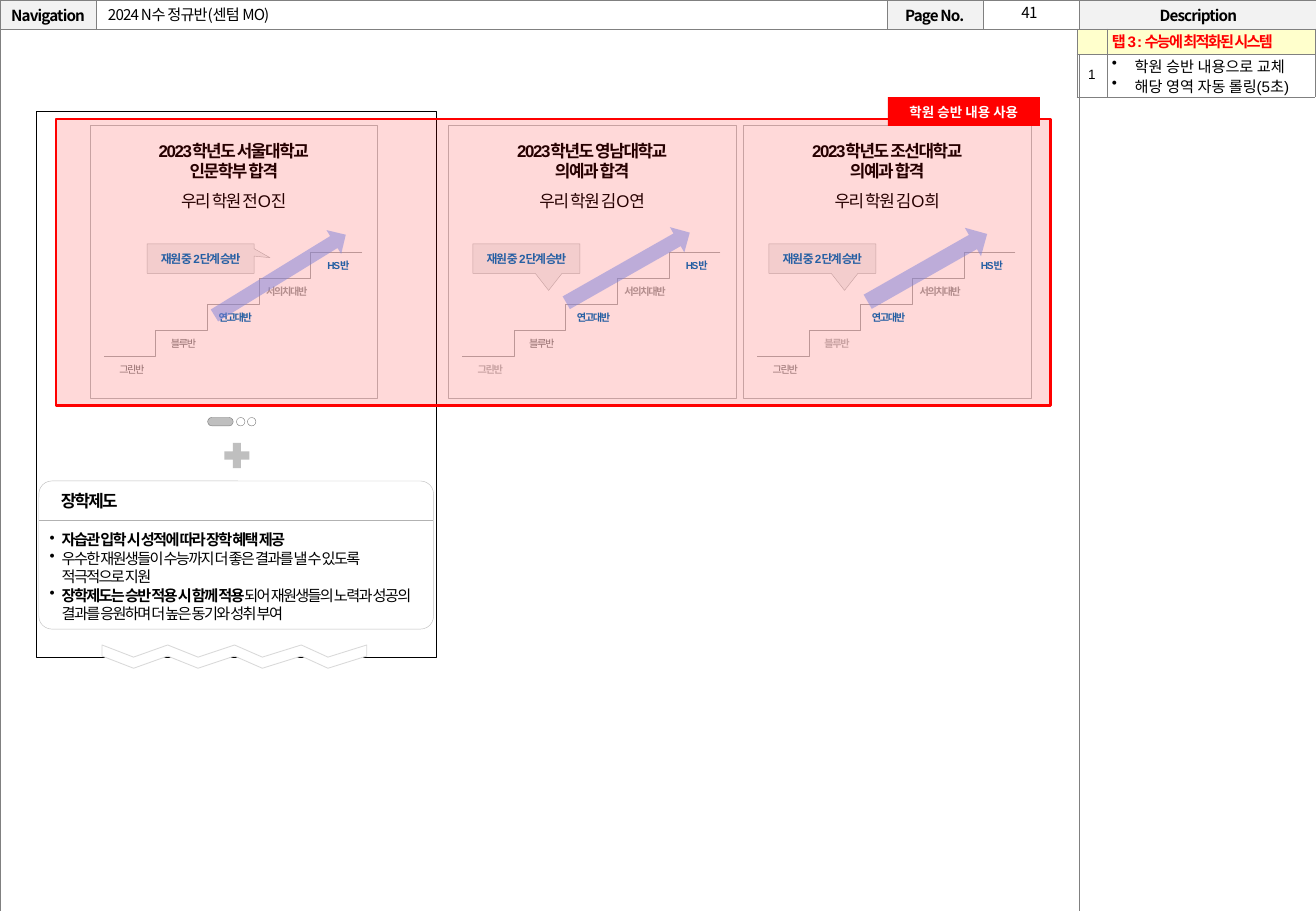
"""Build the storyboard slide for the academy promotion page."""
from dataclasses import dataclass

from lxml.etree import SubElement
from pptx import Presentation
from pptx.dml.color import RGBColor
from pptx.enum.shapes import MSO_CONNECTOR, MSO_SHAPE
from pptx.enum.text import MSO_ANCHOR, PP_ALIGN
from pptx.oxml.ns import qn
from pptx.util import Pt


@dataclass(frozen=True)
class TextStyle:
    """Type settings of a paragraph; spacing and leading are in points."""
    size: float
    color: str = "000000"
    bold: bool = False
    spacing: float = 0
    font: str = "Arial"
    leading: float = None


@dataclass(frozen=True)
class Theme:
    """Colours and type styles of the slide."""
    east_asian: str = "Noto Sans CJK KR"
    black: str = "000000"
    white: str = "FFFFFF"
    red: str = "FF0000"
    arrow: str = "6699FF"
    pale: str = "F2F2F2"
    cream: str = "FFFFCC"
    border: str = "808080"
    step: str = "B2B2B2"
    silver: str = "BFBFBF"
    mist: str = "D9D9D9"
    hairline: float = 0.25
    header: TextStyle = TextStyle(9, bold=True, spacing=-0.5, font="Noto Sans CJK KR")
    title: TextStyle = TextStyle(9, spacing=-0.5, font="Noto Sans CJK KR")
    tag: TextStyle = TextStyle(8, "FFFFFF", True, font="Noto Sans CJK KR")
    tab: TextStyle = TextStyle(9, "FF0000", True, -1)
    number: TextStyle = TextStyle(8)
    note: TextStyle = TextStyle(9)
    section: TextStyle = TextStyle(10, bold=True, spacing=-1, leading=12)
    benefit: TextStyle = TextStyle(9, spacing=-1, leading=10.9)
    headline: TextStyle = TextStyle(10, bold=True, spacing=-0.8, leading=11.9)
    student: TextStyle = TextStyle(10, spacing=-0.8, leading=11.9)
    callout: TextStyle = TextStyle(7, "0070C0", True, -0.8, leading=8.4)
    level: TextStyle = TextStyle(6, "808080", False, -0.8, leading=7.2)
    level_on: TextStyle = TextStyle(6, "0070C0", True, -0.8, leading=7.2)
    level_off: TextStyle = TextStyle(6, "A6A6A6", True, -0.8, leading=7.2)
    level_faded: TextStyle = TextStyle(6, "BFBFBF", True, -0.8, leading=7.2)


@dataclass(frozen=True)
class Card:
    """One success story: its place, wording, callout and arrow."""
    left: float
    university: str
    faculty: str
    student: str
    faded: str
    callout_offset: float
    callout_tip: tuple
    arrow: tuple
    rotation: float


THEME = Theme()
CARDS = [
    Card(53.3, "서울대학교", "인문학부", "전O진", "", 33.9, (0.649, -0.027),
         (157.7, 117.4, 16.6, 91.4), 58.4),
    Card(265.7, "영남대학교", "의예과", "김O연", "그린반", 14.6, (0.208, 1.079),
         (363.6, 116.6, 17.3, 84.2), 60.4),
    Card(440.6, "조선대학교", "의예과", "김O희", "블루반", 15.1, (0.208, 1.079),
         (540, 118.1, 19.4, 81.4), 60.4),
]
LEVELS = [("그린반", THEME.level), ("블루반", THEME.level), ("연고대반", THEME.level_on),
          ("서의치대반", THEME.level_off), ("HS반", THEME.level_on)]
BENEFITS = [
    [("자습관 입학 시 성적에 따라 장학 혜택 제공", True)],
    [("우수한 재원생들이 수능까지 더 좋은 결과를 낼 수 있도록 적극적으로 지원", False)],
    [("장학제도는 승반 적용 시 함께 적용", True),
     ("되어 재원생들의 노력과 성공의 결과를 응원하며 더 높은 동기와 성취 부여", False)],
]


def points(*values):
    """Turn numbers into point lengths."""
    return [Pt(value) for value in values]


def style_paragraph(paragraph, style, align=PP_ALIGN.LEFT, bullet_indent=None):
    """Apply a text style, alignment and optional bullet to a paragraph."""
    paragraph.alignment = align
    if style.leading:
        paragraph.line_spacing = Pt(style.leading)
    if bullet_indent:
        properties = paragraph._p.get_or_add_pPr()
        properties.set("marL", str(Pt(bullet_indent)))
        properties.set("indent", str(-Pt(bullet_indent)))
        SubElement(properties, qn("a:buChar")).set("char", "•")
    font = paragraph.font
    font.size, font.bold, font.name = Pt(style.size), style.bold, style.font
    font.color.rgb = RGBColor.from_string(style.color)
    font._element.set("spc", str(round(style.spacing * 100)))
    SubElement(font._element, qn("a:ea")).set("typeface", THEME.east_asian)


def write_lines(frame, lines, align=PP_ALIGN.LEFT, bullet_indent=None):
    """Write (text, style) lines as paragraphs and return the paragraphs."""
    for index, (text, style) in enumerate(lines):
        paragraph = frame.add_paragraph() if index else frame.paragraphs[0]
        if text:
            paragraph.add_run().text = text
        style_paragraph(paragraph, style, align, bullet_indent)
    return frame.paragraphs


def add_text(shapes, box, lines, align=PP_ALIGN.CENTER, anchor=MSO_ANCHOR.TOP, side=7.2, bullet_indent=None):
    """Add a wrapping text box and return its paragraphs."""
    frame = shapes.add_textbox(*points(*box)).text_frame
    frame.word_wrap = True
    frame.vertical_anchor = anchor
    frame.margin_left = frame.margin_right = Pt(side)
    return write_lines(frame, lines, align, bullet_indent)


def paint(shape, fill=None, line=None, width=THEME.hairline, alpha=None):
    """Set fill, transparency and outline of a shape without shadow."""
    shape.shadow.inherit = False
    if fill:
        shape.fill.solid()
        shape.fill.fore_color.rgb = RGBColor.from_string(fill)
        if alpha:
            color = shape._element.spPr.find(f"{qn('a:solidFill')}/{qn('a:srgbClr')}")
            SubElement(color, qn("a:alpha")).set("val", str(alpha * 1000))
    else:
        shape.fill.background()
    if line:
        shape.line.color.rgb = RGBColor.from_string(line)
        shape.line.width = Pt(width)
    else:
        shape.line.fill.background()


def add_figure(shapes, kind, box, adjustments=(), **look):
    """Add a painted preset shape."""
    shape = shapes.add_shape(kind, *points(*box))
    for index, value in enumerate(adjustments):
        shape.adjustments[index] = value
    paint(shape, **look)
    return shape


def add_line(shapes, kind, ends, color):
    """Add a hairline connector between two points."""
    connector = shapes.add_connector(kind, *points(*ends))
    connector.line.color.rgb = RGBColor.from_string(color)
    connector.line.width = Pt(THEME.hairline)
    SubElement(connector._element.spPr, qn("a:effectLst"))


def format_cell(cell, fill=None, text="", style=THEME.number, align=PP_ALIGN.CENTER, margin=(0, 0), bullet_indent=None, spacing=None):
    """Set borders, fill and text of a table cell."""
    properties = cell._tc.get_or_add_tcPr()
    for side in ("lnL", "lnR", "lnT", "lnB"):
        border = SubElement(properties, qn(f"a:{side}"), w=str(Pt(THEME.hairline)))
        SubElement(SubElement(border, qn("a:solidFill")), qn("a:srgbClr"), val=THEME.border)
    if fill:
        cell.fill.solid()
        cell.fill.fore_color.rgb = RGBColor.from_string(fill)
    else:
        cell.fill.background()
    cell.vertical_anchor = MSO_ANCHOR.MIDDLE
    cell.margin_left = cell.margin_right = Pt(margin[0])
    cell.margin_top = cell.margin_bottom = Pt(margin[1])
    lines = [(line, style) for line in text.split("\n")]
    for paragraph in write_lines(cell.text_frame, lines, align, bullet_indent):
        if spacing:
            paragraph.line_spacing = spacing
        if not text:
            SubElement(paragraph._p, qn("a:endParaRPr"), sz=str(style.size * 100))


def add_grid(shapes, left, top, columns, rows):
    """Add a plain table with the given column widths and row heights."""
    table = shapes.add_table(len(rows), len(columns), *points(left, top, sum(columns), sum(rows))).table
    table.first_row = table.horz_banding = False
    for column, width in zip(table.columns, columns):
        column.width = Pt(width)
    for row, height in zip(table.rows, rows):
        row.height = Pt(height)
    return table


def add_page_frame(shapes):
    """Add the storyboard frame with navigation, page number and title."""
    table = add_grid(shapes, 0, 0, [56.9, 468.7, 56.9, 56.9, 141.8], [17.3, 523.4])
    table.cell(1, 0).merge(table.cell(1, 3))
    for index, text in enumerate(["Navigation", "", "Page No.", "", "Description"]):
        format_cell(table.cell(0, index), THEME.pale if text else THEME.white, text, THEME.header)
        format_cell(table.cell(1, index), THEME.white)
    add_text(shapes, (582.5, -1.4, 55.4, 18), [("41", THEME.title)])
    add_text(shapes, (56.9, 0, 469.4, 16.6), [("2024 N수 정규반(센텀 MO)", THEME.title)], PP_ALIGN.LEFT, MSO_ANCHOR.MIDDLE)


def add_description(shapes):
    """Add the description table at the right."""
    table = add_grid(shapes, 638.2, 17, [18, 123.4], [15, 25.4])
    look = {"margin": (2.9, 1.5), "spacing": 0.9}
    format_cell(table.cell(0, 0), THEME.cream, **look)
    format_cell(table.cell(0, 1), THEME.cream, "탭 3 : 수능에 최적화된 시스템", THEME.tab, PP_ALIGN.LEFT, **look)
    format_cell(table.cell(1, 0), None, "1", **look)
    format_cell(table.cell(1, 1), None, "학원 승반 내용으로 교체\n해당 영역 자동 롤링(5초)", THEME.note, PP_ALIGN.LEFT, bullet_indent=13.5, **look)


def add_scholarship(shapes):
    """Add the mobile screen outline with the scholarship panel."""
    add_figure(shapes, MSO_SHAPE.RECTANGLE, (21.6, 66.2, 236.9, 323.3), line=THEME.black)
    add_figure(shapes, MSO_SHAPE.ROUNDED_RECTANGLE, (23, 285.1, 234, 87.8), [0.088], fill=THEME.white, line=THEME.silver)
    add_line(shapes, MSO_CONNECTOR.STRAIGHT, (23, 308.2, 256.5, 308.2), THEME.step)
    add_text(shapes, (21.6, 287.3, 62.6, 19.4), [("장학제도", THEME.section)])
    lines = [("", THEME.benefit)] * len(BENEFITS)
    paragraphs = add_text(shapes, (22.3, 311, 234, 61.9), lines, PP_ALIGN.LEFT, bullet_indent=7.2)
    for paragraph, parts in zip(paragraphs, BENEFITS):
        for text, bold in parts:
            run = paragraph.add_run()
            run.text, run.font.bold = text, bold


def add_torn_edge(shapes):
    """Add the zigzag band that cuts the screen outline."""
    columns = [60.5, 79.2, 99.4, 117.4, 139, 155.5, 178.6, 194.4, 217.4]
    upper = [(x, 389.5 if index % 2 else 382.3) for index, x in enumerate(columns)]
    lower = [(x, y + 6.6) for x, y in reversed(upper)]
    outline = [tuple(points(*corner)) for corner in upper + lower]
    builder = shapes.build_freeform(*outline[0])
    builder.add_line_segments(outline[1:], close=True)
    paint(builder.convert_to_shape(), THEME.white, THEME.mist, 0.5)


def add_pager(shapes):
    """Add the plus sign and the rolling indicator."""
    add_figure(shapes, MSO_SHAPE.MATH_PLUS, (130.3, 259.9, 20.2, 20.2), fill=THEME.silver)
    add_figure(shapes, MSO_SHAPE.FLOWCHART_TERMINATOR, (123.1, 247.5, 15.1, 5), fill=THEME.silver, line=THEME.border)
    for left in (140.2, 146.7):
        add_figure(shapes, MSO_SHAPE.OVAL, (left, 247.5, 5, 5), fill=THEME.white, line=THEME.border)


def add_stairs(shapes, left, faded):
    """Add the class staircase with one label per level."""
    group = shapes.add_group_shape().shapes
    run, rise, floor = 30.6, 15.3, 211
    for index, (name, style) in enumerate(LEVELS):
        x, y = left + run * index, floor - rise * index
        if index < len(LEVELS) - 1:
            add_line(group, MSO_CONNECTOR.ELBOW, (x + 2 * run, y - rise, x, y), THEME.step)
        label = THEME.level_faded if name == faded else style
        add_text(group, (x - 4.4, y + 0.7, 42, 14.4), [(name, label)], side=0)


def add_card(shapes, card):
    """Add one success story card."""
    add_figure(shapes, MSO_SHAPE.RECTANGLE, (card.left, 74.2, 170.6, 162), fill=THEME.white, line=THEME.silver)
    lines = [(f"2023학년도 {card.university}", THEME.headline), (f"{card.faculty} 합격", THEME.headline),
             (f"우리 학원 {card.student}", THEME.student)]
    paragraphs = add_text(shapes, (card.left, 79.9, 170.6, 51.1), lines)
    paragraphs[-1].space_before = Pt(6)
    add_stairs(shapes, card.left + 8.3, card.faded)
    arrow = add_figure(shapes, MSO_SHAPE.UP_ARROW, card.arrow, fill=THEME.arrow, alpha=50)
    arrow.rotation = card.rotation
    callout = add_figure(shapes, MSO_SHAPE.RECTANGULAR_CALLOUT, (card.left + card.callout_offset, 144.5, 63.4, 17.5),
                         card.callout_tip, fill=THEME.pale, line=THEME.silver)
    callout.text_frame.word_wrap = False
    write_lines(callout.text_frame, [("재원 중 2단계 승반", THEME.callout)], PP_ALIGN.CENTER)


def add_highlight(shapes):
    """Add the red marked area and its tag."""
    add_figure(shapes, MSO_SHAPE.RECTANGLE, (33.1, 70.6, 589.7, 169.9), fill=THEME.red, alpha=15, line=THEME.red, width=1.5)
    tag = add_figure(shapes, MSO_SHAPE.RECTANGLE, (526.3, 57.6, 90, 17.1), fill=THEME.red)
    write_lines(tag.text_frame, [("학원 승반 내용 사용", THEME.tag)], PP_ALIGN.CENTER)


def main():
    """Build and save the slide."""
    presentation = Presentation()
    presentation.slide_width, presentation.slide_height = points(780, 540)
    shapes = presentation.slides.add_slide(presentation.slide_layouts[6]).shapes
    for add_part in (add_page_frame, add_scholarship, add_torn_edge, add_pager, add_description):
        add_part(shapes)
    for card in CARDS:
        add_card(shapes, card)
    add_highlight(shapes)
    presentation.save("out.pptx")


if __name__ == "__main__":
    main()
